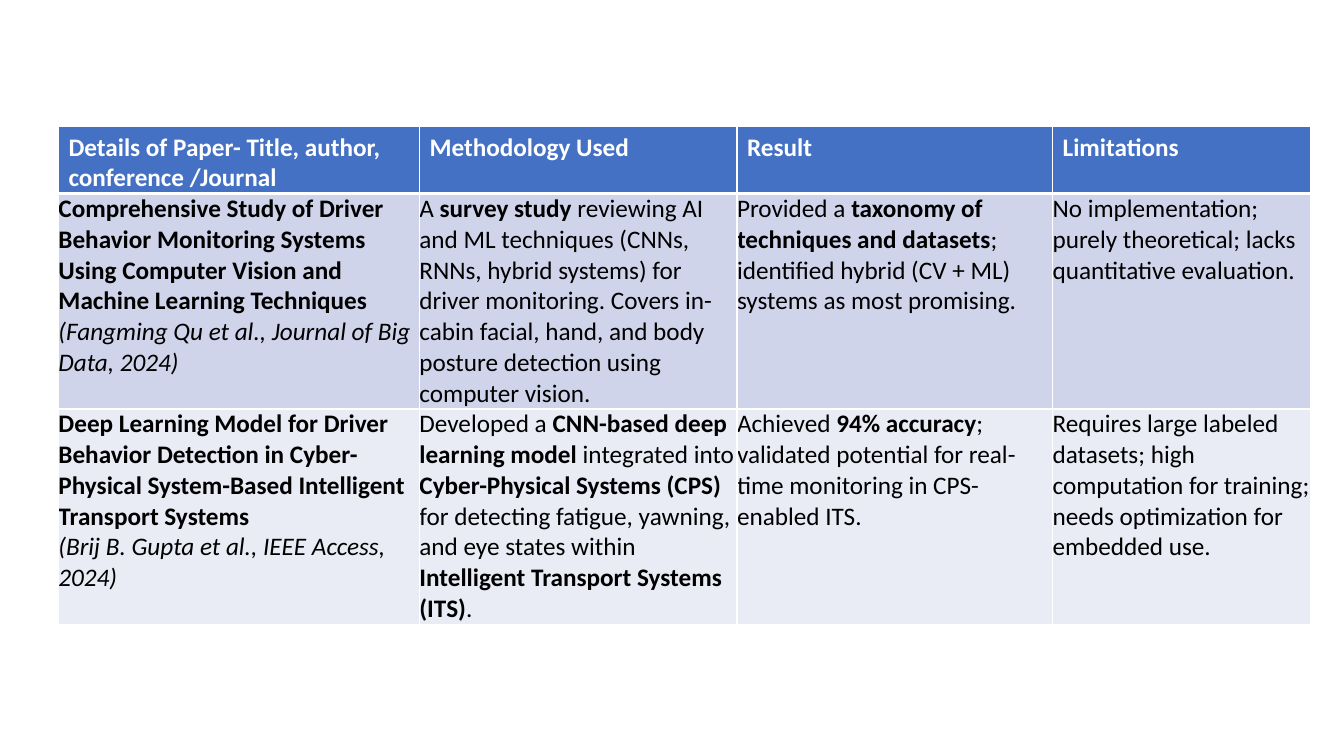
from dataclasses import dataclass

from lxml import etree
from pptx import Presentation
from pptx.dml.color import RGBColor
from pptx.oxml.ns import qn
from pptx.util import Inches, Pt


@dataclass(frozen=True)
class Theme:
    font: str = "Calibri"
    size: int = 18
    white: str = "FFFFFF"
    black: str = "000000"
    head: str = "4471C4"
    bands: tuple = ("CFD4EA", "E9EBF5")
    thin: int = 1
    thick: int = 3


WIDTHS = (3.58, 3.15, 3.13, 2.56)
HEIGHTS = (0.67, 1.73, 1.73)

# A cell is a list of (text, style) runs: "b" bold, "i" italic.
HEADS = [
    [("Details of Paper- Title, author, conference /Journal", "b")],
    [("Methodology Used", "b")],
    [("Result", "b")],
    [("Limitations", "b")],
]
PAPERS = [
    [
        [("Comprehensive Study of Driver Behavior Monitoring Systems Using "
          "Computer Vision and Machine Learning Techniques\n", "b"),
         ("(Fangming Qu et al., Journal of Big Data, 2024)", "i")],
        [("A ", ""), ("survey study", "b"),
         (" reviewing AI and ML techniques (CNNs, RNNs, hybrid systems) for "
          "driver monitoring. Covers in-cabin facial, hand, and body posture "
          "detection using computer vision.", "")],
        [("Provided a ", ""), ("taxonomy of techniques and datasets", "b"),
         ("; identified hybrid (CV + ML) systems as most promising.", "")],
        [("No implementation; purely theoretical; lacks quantitative "
          "evaluation.", "")],
    ],
    [
        [("Deep Learning Model for Driver Behavior Detection in "
          "Cyber-Physical System-Based Intelligent Transport Systems\n", "b"),
         ("(Brij B. Gupta et al., IEEE Access, 2024)", "i")],
        [("Developed a ", ""), ("CNN-based deep learning model", "b"),
         (" integrated into ", ""), ("Cyber-Physical Systems (CPS)", "b"),
         (" for detecting fatigue, yawning, and eye states within ", ""),
         ("Intelligent Transport Systems (ITS)", "b"), (".", "")],
        [("Achieved ", ""), ("94% accuracy", "b"),
         ("; validated potential for real-time monitoring in CPS-enabled "
          "ITS.", "")],
        [("Requires large labeled datasets; high computation for training; "
          "needs optimization for embedded use.", "")],
    ],
]


class Page:
    def __init__(self, slide, theme):
        self.slide = slide
        self.theme = theme

    def table(self, left, top, widths, heights):
        frame = self.slide.shapes.add_table(
            len(heights), len(widths), Inches(left), Inches(top),
            Inches(sum(widths)), Inches(sum(heights)))
        grid = frame.table
        grid.first_row = grid.horz_banding = False
        for col, width in zip(grid.columns, widths):
            col.width = Inches(width)
        for row, height in zip(grid.rows, heights):
            row.height = Inches(height)
        return grid

    def row(self, cells, texts, fill, color, pads=(0, 0), top=1, base=1):
        """Fill one table row; pads are the left and top cell margins."""
        left, above = pads
        margins = {"margin_left": left, "margin_top": above,
                   "margin_right": 0, "margin_bottom": 0}
        for cell, runs in zip(cells, texts):
            for name, size in margins.items():
                setattr(cell, name, Inches(size))
            cell.fill.solid()
            cell.fill.fore_color.rgb = RGBColor.from_string(fill)
            self.edges(cell, top, base)
            self.text(cell.text_frame.paragraphs[0], runs, color)

    def text(self, para, runs, color):
        for words, style in runs:
            run = para.add_run()
            run.text = words.rstrip("\n")
            look = {"name": self.theme.font, "size": Pt(self.theme.size),
                    "bold": style == "b", "italic": style == "i"}
            for name, value in look.items():
                setattr(run.font, name, value)
            run.font.color.rgb = RGBColor.from_string(color)
            if words.endswith("\n"):
                para.add_line_break()

    def edges(self, cell, top, base):
        """Draw the four cell borders, with widths in points."""
        thin = self.theme.thin
        sides = {"lnL": thin, "lnR": thin, "lnT": top, "lnB": base}
        props = cell._tc.get_or_add_tcPr()
        for spot, (side, width) in enumerate(sides.items()):
            line = etree.Element(qn(f"a:{side}"), w=str(Pt(width)))
            fill = etree.SubElement(line, qn("a:solidFill"))
            etree.SubElement(fill, qn("a:srgbClr"), val=self.theme.white)
            props.insert(spot, line)


def main():
    deck = Presentation()
    deck.slide_width, deck.slide_height = Inches(13.33), Inches(7.5)
    theme = Theme()
    page = Page(deck.slides.add_slide(deck.slide_layouts[6]), theme)

    grid = page.table(0.58, 1.25, WIDTHS, HEIGHTS)
    page.row(grid.rows[0].cells, HEADS, theme.head, theme.white,
             pads=(0.1, 0.06), base=theme.thick)
    tops = (theme.thick, theme.thin)
    for spot, (texts, fill, top) in enumerate(zip(PAPERS, theme.bands, tops), 1):
        page.row(grid.rows[spot].cells, texts, fill, theme.black, top=top)

    deck.save("out.pptx")


if __name__ == "__main__":
    main()
